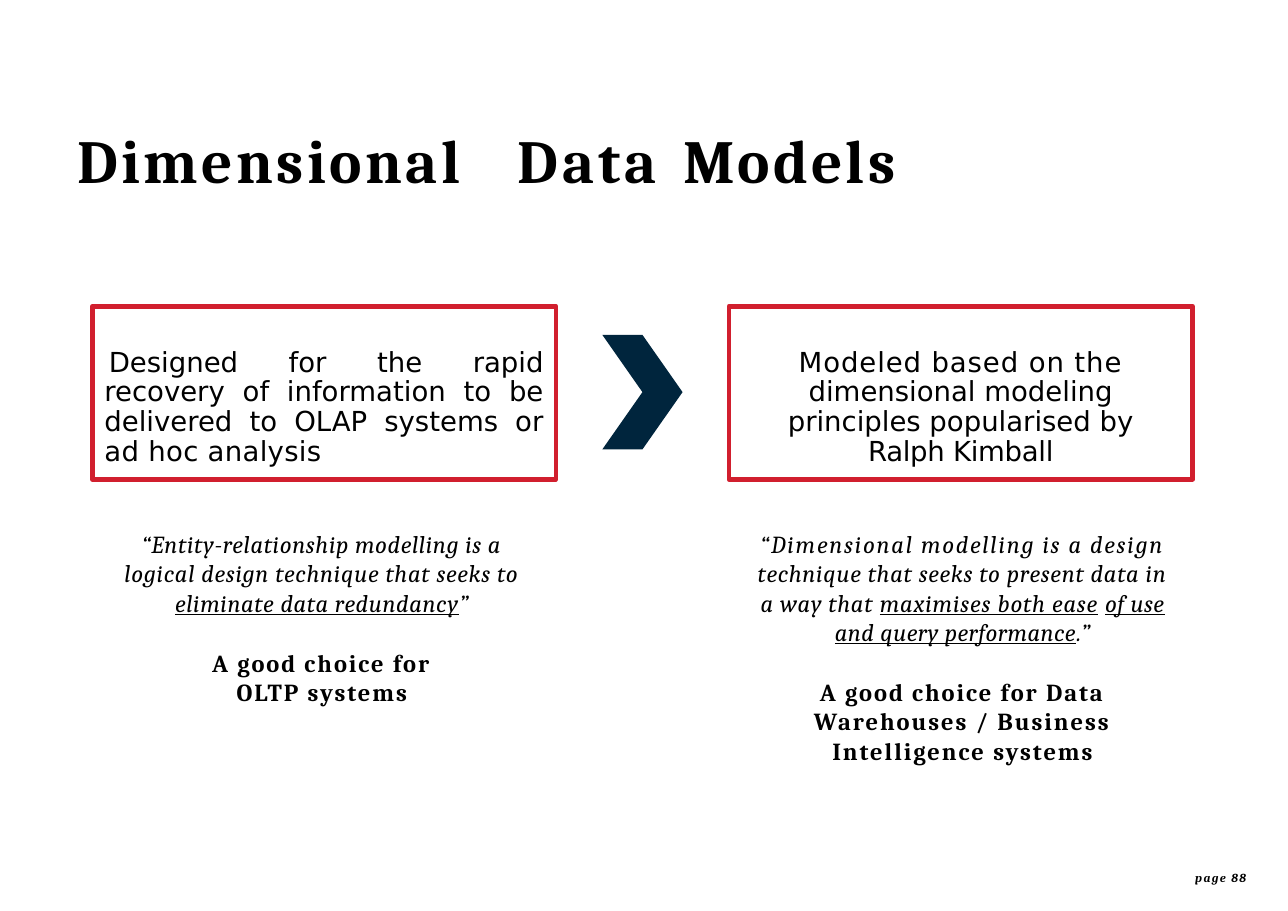
import pptx
import pptx.util
import pptx.dml.color
import pptx.enum.shapes
import pptx.enum.text
import pptx.oxml.ns
import lxml.etree

Cm = pptx.util.Cm
Pt = pptx.util.Pt
Align = pptx.enum.text.PP_ALIGN
Preset = pptx.enum.shapes.MSO_SHAPE
rgb = pptx.dml.color.RGBColor.from_string
qn = pptx.oxml.ns.qn

COLORS = {"text": "000000", "border": "D11F2E", "chevron": "00253D"}
SERIF = "Cambria"
SANS = "DejaVu Sans"


def add_text(paragraph, text, size=16, font=SERIF, bold=False, italic=False, underline=False, spacing=0):
    run = paragraph.add_run()
    run.text = text
    run.font.size = Pt(size)
    run.font.name = font
    run.font.bold = bold
    run.font.italic = italic
    run.font.underline = underline
    run.font.color.rgb = rgb(COLORS["text"])
    run._r.get_or_add_rPr().set("spc", str(round(spacing * 100)))


def prepare(paragraph, alignment=Align.LEFT, margin=0, indent=0, before=0):
    paragraph.alignment = alignment
    paragraph.space_before = Pt(before)
    properties = paragraph._p.get_or_add_pPr()
    properties.set("marL", str(Cm(margin)))
    properties.set("marR", str(Cm(margin)))
    properties.set("indent", str(Cm(indent)))
    lxml.etree.SubElement(properties, qn("a:buNone"))
    return properties


presentation = pptx.Presentation()
presentation.slide_width = Cm(29.7)
presentation.slide_height = Cm(21)
slide = presentation.slides.add_slide(presentation.slide_layouts[3])
title, left_quote, right_quote = slide.placeholders
page = slide.shapes.add_textbox(0, 0, Cm(1), Cm(1))

frames = [
    (title, 1.75, 1.12, 26.24, 3.43, 1.7),
    (left_quote, 2.36, 12.19, 10.13, 4.11, 0),
    (right_quote, 17.25, 12.19, 9.9, 5.46, 0),
    (page, 27.53, 20.09, 1.6, 0.36, 0),
]

boxes = [
    (2.13, Align.JUSTIFY, 0.28, 0.1, [
        ("Designed for the rapid recovery of information to be delivered to OLAP systems or ", 0),
        ("ad hoc analysis", 0.2),
    ]),
    (16.81, Align.CENTER, 0.9, 0, [
        ("Modeled based on the ", 0.6),
        ("dimensional modeling principles popularised by ", 0),
        ("Ralph Kimball", -0.2),
    ]),
]
for left, alignment, margin, indent, runs in boxes:
    box = slide.shapes.add_shape(Preset.RECTANGLE, Cm(left), Cm(7.06), Cm(10.69), Cm(3.99))
    box.shadow.inherit = False
    box.fill.background()
    box.line.color.rgb = rgb(COLORS["border"])
    box.line.width = Pt(3)
    frames.append((box, left, 7.06, 10.69, 3.99, 0.96))
    paragraph = box.text_frame.paragraphs[0]
    prepare(paragraph, alignment, margin, indent)
    paragraph.line_spacing = Pt(19.4)
    for text, spacing in runs:
        add_text(paragraph, text, size=18, font=SANS, spacing=spacing)

for shape, left, top, width, height, inset in frames:
    shape.left, shape.top, shape.width, shape.height = Cm(left), Cm(top), Cm(width), Cm(height)
    frame = shape.text_frame
    frame.word_wrap = True
    frame.auto_size = pptx.enum.text.MSO_AUTO_SIZE.NONE
    frame.vertical_anchor = pptx.enum.text.MSO_ANCHOR.TOP
    frame.margin_left = frame.margin_right = frame.margin_bottom = 0
    frame.margin_top = Cm(inset)

paragraph = title.text_frame.paragraphs[0]
tabs = lxml.etree.SubElement(prepare(paragraph, margin=0.03), qn("a:tabLst"))
for position in (9.68, 13.56):
    lxml.etree.SubElement(tabs, qn("a:tab"), pos=str(Cm(position)), algn="l")
for word, spacing in (("Dimensional\t", 2.3), ("Data\t", 2.5), ("Models", 2.1)):
    add_text(paragraph, word, size=40, bold=True, spacing=spacing)

chevron = slide.shapes.add_shape(Preset.CHEVRON, Cm(13.89), Cm(7.72), Cm(1.85), Cm(2.64))
chevron.shadow.inherit = False
chevron.fill.solid()
chevron.fill.fore_color.rgb = rgb(COLORS["chevron"])
chevron.line.fill.background()

quotes = [
    (left_quote, 0.25, [
        ("“Entity-relationship modelling is a ", 0.45, False),
        ("logical design technique that seeks to ", 0.5, False),
        ("eliminate data redundancy", 0.45, True),
        ("”", 1.1, False),
    ], "A good choice for OLTP systems", 2),
    (right_quote, 0, [
        ("“Dimensional modelling is a design ", 1.2, False),
        ("technique that seeks to present data in a way that ", 0.5, False),
        ("maximises both ease", 0.6, True),
        (" ", 0.5, False),
        ("of use and query performance", 0.35, True),
        (".”", 1.4, False),
    ], "A good choice for Data Warehouses / Business Intelligence systems", 1.2),
]
for placeholder, margin, runs, verdict, verdict_margin in quotes:
    paragraph = placeholder.text_frame.paragraphs[0]
    prepare(paragraph, Align.CENTER, margin)
    for text, spacing, underline in runs:
        add_text(paragraph, text, italic=True, underline=underline, spacing=spacing)
    paragraph = placeholder.text_frame.add_paragraph()
    prepare(paragraph, Align.CENTER, verdict_margin, before=20)
    add_text(paragraph, verdict, bold=True, spacing=1.3)

paragraph = page.text_frame.paragraphs[0]
prepare(paragraph, margin=0.03)
paragraph.line_spacing = Pt(9.1)
add_text(paragraph, "page 88", size=8, bold=True, italic=True, spacing=0.9)

presentation.save("out.pptx")
